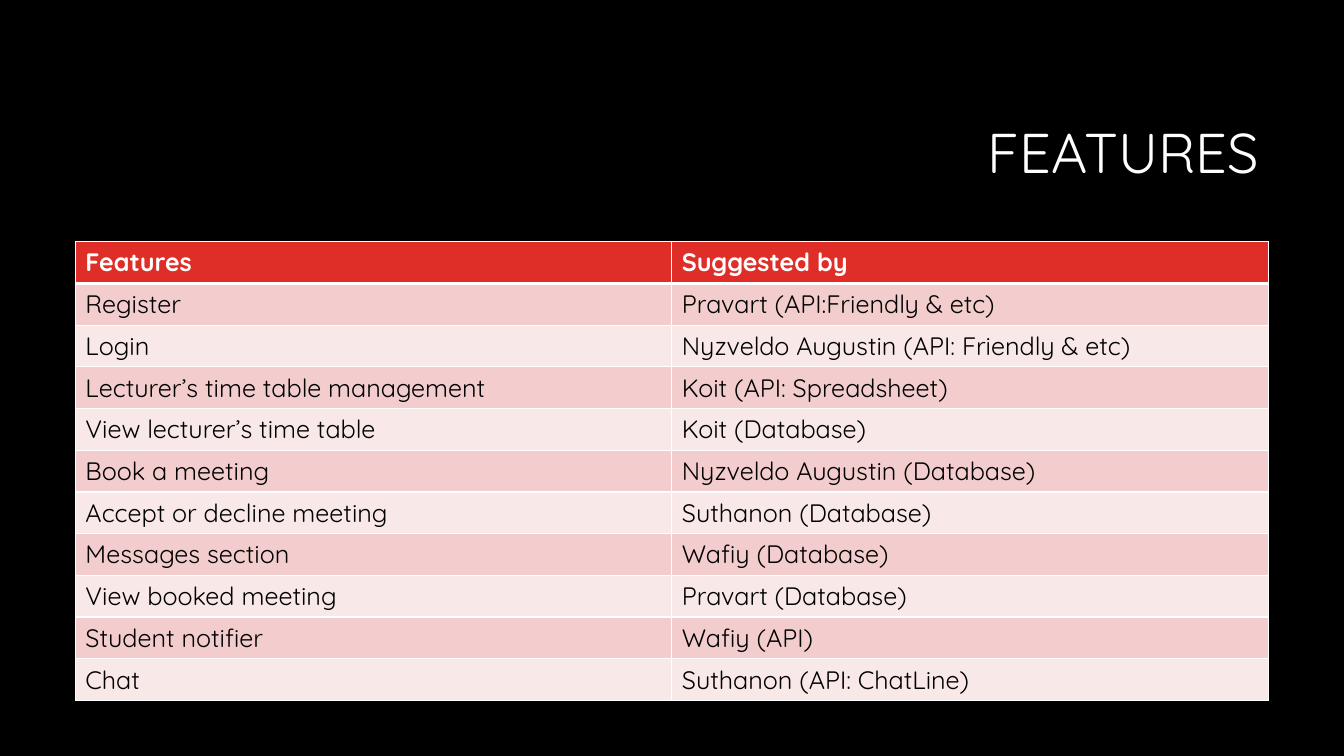
import pptx
import pptx.dml.color
import pptx.enum.text
import pptx.oxml
import pptx.oxml.ns
import pptx.util

Cm = pptx.util.Cm
Pt = pptx.util.Pt
RGBColor = pptx.dml.color.RGBColor

BLACK = RGBColor(0x00, 0x00, 0x00)
WHITE = RGBColor(0xFF, 0xFF, 0xFF)
RED = RGBColor(0xDF, 0x2E, 0x28)
PINK = RGBColor(0xF3, 0xCD, 0xCD)
PALE_PINK = RGBColor(0xF9, 0xE8, 0xE8)

FONT_NAME = "Quicksand"
COLUMN_WIDTH = Cm(15.03)
ROW_HEIGHT = Cm(1.05)

FEATURES = [
    ("Features", "Suggested by"),
    ("Register", "Pravart (API:Friendly & etc)"),
    ("Login", "Nyzveldo Augustin (API: Friendly & etc)"),
    ("Lecturer’s time table management", "Koit (API: Spreadsheet)"),
    ("View lecturer’s time table", "Koit (Database)"),
    ("Book a meeting", "Nyzveldo Augustin (Database)"),
    ("Accept or decline meeting", "Suthanon (Database)"),
    ("Messages section", "Wafiy (Database)"),
    ("View booked meeting", "Pravart (Database)"),
    ("Student notifier", "Wafiy (API)"),
    ("Chat", "Suthanon (API: ChatLine)"),
]


def set_attributes(target, values):
    for name, value in values.items():
        setattr(target, name, value)


def format_font(font, size, color, bold=False):
    set_attributes(font, {"name": FONT_NAME, "size": Pt(size), "bold": bold})
    font.color.rgb = color


def add_title(slide, text):
    title = slide.shapes.title
    set_attributes(title, {
        "left": Cm(8.05), "top": Cm(2.13),
        "width": Cm(23.93), "height": Cm(3.58),
    })
    set_attributes(title.text_frame, {
        "text": text,
        "word_wrap": True,
        "vertical_anchor": pptx.enum.text.MSO_ANCHOR.MIDDLE,
    })
    paragraph = title.text_frame.paragraphs[0]
    set_attributes(paragraph, {
        "alignment": pptx.enum.text.PP_ALIGN.RIGHT,
        "line_spacing": 0.9,
    })
    format_font(paragraph.runs[0].font, 40, WHITE)


def add_borders(cell, widths):
    properties = cell._tc.get_or_add_tcPr()
    for side, width in widths.items():
        properties.append(pptx.oxml.parse_xml(
            f'<a:ln{side} {pptx.oxml.ns.nsdecls("a")} w="{Pt(width)}">'
            f'<a:solidFill><a:srgbClr val="{WHITE}"/></a:solidFill></a:ln{side}>'
        ))


def format_cell(cell, text, row_index):
    is_header = row_index == 0
    add_borders(cell, {
        "L": 1, "R": 1,
        "T": 3 if row_index == 1 else 1,
        "B": 3 if is_header else 1,
    })
    cell.fill.solid()
    cell.fill.fore_color.rgb = RED if is_header else (PALE_PINK, PINK)[row_index % 2]
    cell.text = text
    font = cell.text_frame.paragraphs[0].runs[0].font
    format_font(font, 18, WHITE if is_header else BLACK, is_header)


def add_feature_table(slide, rows):
    column_count = len(rows[0])
    table = slide.shapes.add_table(
        len(rows), column_count, Cm(1.9), Cm(6.09),
        COLUMN_WIDTH * column_count, ROW_HEIGHT * len(rows),
    ).table
    for column in table.columns:
        column.width = COLUMN_WIDTH
    for row_index, texts in enumerate(rows):
        table.rows[row_index].height = ROW_HEIGHT
        for column_index, text in enumerate(texts):
            format_cell(table.cell(row_index, column_index), text, row_index)


def main():
    """Build the features slide and save it."""
    presentation = pptx.Presentation()
    set_attributes(presentation, {"slide_width": Cm(33.87), "slide_height": Cm(19.05)})
    slide = presentation.slides.add_slide(presentation.slide_layouts[5])
    slide.background.fill.solid()
    slide.background.fill.fore_color.rgb = BLACK
    add_title(slide, "FEATURES")
    add_feature_table(slide, FEATURES)
    presentation.save("out.pptx")


if __name__ == "__main__":
    main()
